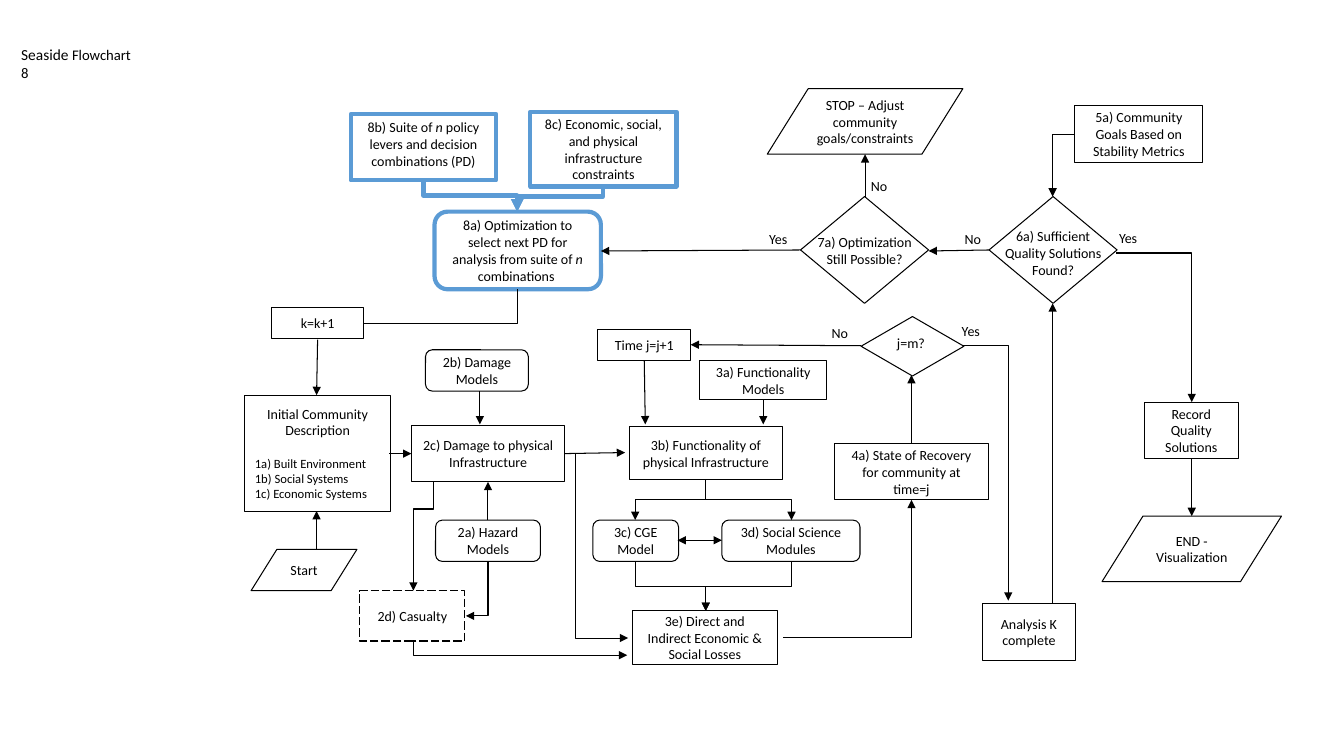
from dataclasses import dataclass
from pptx import Presentation
from pptx.dml.color import RGBColor
from pptx.enum.dml import MSO_LINE as Dash
from pptx.enum.shapes import MSO_CONNECTOR as Link, MSO_SHAPE as Shape
from pptx.enum.text import MSO_ANCHOR as Anchor, MSO_AUTO_SIZE as Fit, PP_ALIGN as Align
from pptx.oxml.ns import qn
from pptx.util import Inches, Pt
from lxml.etree import SubElement


@dataclass(frozen=True)
class Theme:
    font: str = "Calibri"
    ink: RGBColor = RGBColor(0, 0, 0)
    paper: RGBColor = RGBColor(255, 255, 255)
    accent: RGBColor = RGBColor(0x5B, 0x9B, 0xD5)
    title: float = 11
    subtitle: float = 10.5
    body: float = 10
    detail: float = 9
    thin: float = 0.75
    thick: float = 3


THEME = Theme()
RECT, ROUND = Shape.RECTANGLE, Shape.ROUNDED_RECTANGLE
SLANTED, DIAMOND = Shape.PARALLELOGRAM, Shape.DIAMOND

STEPS = [
    (SLANTED, 2.49, 5.45, 1.05, 0.41, "Start"),
    (RECT, 4.08, 4.22, 1.52, 0.56, "2c) Damage to physical Infrastructure"),
    (ROUND, 4.22, 3.47, 1.02, 0.41, "2b) Damage Models"),
    (ROUND, 4.32, 5.16, 1.04, 0.41, "2a) Hazard Models"),
    (ROUND, 5.88, 5.16, 0.85, 0.41, "3c) CGE Model"),
    (ROUND, 7.16, 5.16, 1.37, 0.41, "3d) Social Science Modules"),
    (RECT, 8.28, 4.4, 1.52, 0.56, "4a) State of Recovery for community at time=j"),
    (RECT, 5.93, 3.27, 0.92, 0.31, "Time j=j+1"),
    (RECT, 9.74, 5.99, 0.93, 0.56, "Analysis K complete"),
    (RECT, 11.35, 3.99, 0.93, 0.56, "Record Quality Solutions"),
    (SLANTED, 10.93, 5.12, 1.78, 0.65, "END - Visualization"),
    (RECT, 10.66, 1.05, 1.27, 0.56, "5a) Community Goals Based on Stability Metrics"),
    (SLANTED, 7.61, 0.88, 1.94, 0.65, "STOP – Adjust community goals/constraints"),
    (RECT, 2.69, 3.05, 0.92, 0.31, "k=k+1"),
    (RECT, 6.27, 6.06, 1.44, 0.53, "3e) Direct and Indirect Economic & Social Losses"),
    (RECT, 6.24, 4.23, 1.52, 0.53, "3b) Functionality of physical Infrastructure"),
    (RECT, 6.94, 3.58, 1.26, 0.38, "3a) Functionality Models"),
]
OPTIMIZATION = [
    (ROUND, 4.31, 2.1, 1.65, 0.77, Anchor.MIDDLE,
     "8a) Optimization to select next PD for analysis from suite of *n* combinations "),
    (RECT, 5.26, 1.11, 1.45, 0.74, Anchor.MIDDLE,
     "8c) Economic, social, and physical infrastructure constraints"),
    (RECT, 3.48, 1.13, 1.44, 0.66, Anchor.TOP,
     "8b) Suite of *n* policy levers and decision combinations (PD)"),
]
DECISIONS = [
    ((8.54, 3.14, 1.02, 0.59), (8.67, 3.27, 0.73, 0.27), "j=m?"),
    ((9.81, 1.95, 1.27, 1.06), (9.82, 2.21, 1.25, 0.61), "6a) Sufficient Quality Solutions Found?"),
    ((7.94, 1.95, 1.27, 1.06), (7.95, 2.27, 1.25, 0.44), "7a) Optimization Still Possible?"),
]
ANSWERS = {
    "No": (0.37, [(8.15, 3.17), (9.47, 2.24), (8.54, 1.71)]),
    "Yes": (0.39, [(9.44, 3.15), (11, 2.23), (7.53, 2.24)]),
}
ARROWS = [
    [(3.14, 5.45), (3.14, 5.07)],
    [(3.86, 4.5), (4.08, 4.5)],
    [(4.84, 5.16), (4.84, 4.78)],
    [(5.6, 4.5), (5.71, 4.5), (5.71, 6.33), (6.23, 6.33)],
    [(5.6, 4.5), (6.2, 4.49)],
    [(7, 4.76), (7, 4.96), (6.3, 4.96), (6.3, 5.16)],
    [(7, 4.76), (7, 4.96), (7.85, 4.96), (7.85, 5.16)],
    [(6.3, 5.57), (6.3, 5.82), (7, 5.82), (7, 6.06)],
    [(7.85, 5.57), (7.85, 5.82), (7, 5.82), (7, 6.06)],
    [(7.77, 6.33), (9.04, 6.33), (9.04, 4.96)],
    [(9.04, 4.4), (9.04, 3.72)],
    [(8.54, 3.43), (6.85, 3.42)],
    [(6.39, 3.58), (6.4, 4.21)],
    [(9.55, 3.43), (10, 3.43), (10, 5.96)],
    [(10.44, 5.99), (10.44, 3.01)],
    [(11.07, 2.51), (11.82, 2.51), (11.82, 3.99)],
    [(11.82, 4.55), (11.82, 5.12)],
    [(10.66, 1.33), (10.44, 1.33), (10.44, 1.95)],
    [(9.81, 2.48), (9.21, 2.49)],
    [(8.58, 1.95), (8.58, 1.53)],
    [(4.76, 3.88), (4.76, 4.21)],
    [(7.57, 3.96), (7.57, 4.21)],
    [(7.94, 2.48), (5.96, 2.49)],
    [(3.15, 3.37), (3.14, 3.92)],
    [(4.84, 5.57), (4.84, 6.11), (4.62, 6.11)],
    [(4.1, 6.36), (4.1, 6.5), (6.22, 6.5)],
    [(4.3, 4.78), (4.3, 5.05), (4.1, 5.05), (4.1, 5.86)],
]
INPUT_ARROWS = [
    [(4.2, 1.79), (4.2, 1.94), (5.13, 1.94), (5.13, 2.1)],
    [(5.98, 1.85), (5.98, 1.95), (5.13, 1.95), (5.13, 2.1)],
]


def apply(target, **values):
    for name, value in values.items():
        setattr(target, name, value)


def add_span(para, text, size, italic=False):
    span = para.add_run()
    span.text = text
    apply(span.font, name=THEME.font, size=Pt(size), italic=italic, bold=False)
    span.font.color.rgb = THEME.ink


def write(para, text, size=THEME.body, align=Align.CENTER):
    para.alignment = align
    for index, part in enumerate(text.split("*")):
        add_span(para, part, size, italic=index % 2 == 1)


def add_box(page, kind, place, text="", color=THEME.ink, width=THEME.thin, anchor=Anchor.MIDDLE):
    box = page.shapes.add_shape(kind, *map(Inches, place))
    box.shadow.inherit = False
    box.fill.solid()
    box.fill.fore_color.rgb = THEME.paper
    box.line.color.rgb = color
    box.line.width = Pt(width)
    if kind == SLANTED:
        box.adjustments[0] = 0.625
    apply(box.text_frame, word_wrap=True, vertical_anchor=anchor)
    if text:
        write(box.text_frame.paragraphs[0], text)
    return box


def add_label(page, place, text, wrap=False, align=Align.LEFT):
    label = page.shapes.add_textbox(*map(Inches, place))
    apply(label.text_frame, word_wrap=wrap, auto_size=Fit.SHAPE_TO_FIT_TEXT)
    write(label.text_frame.paragraphs[0], text, align=align)


def add_route(page, points, color=THEME.ink, width=THEME.thin, ends=("tailEnd",)):
    (x1, y1), (x2, y2) = points[0], points[-1]
    bent = len(points) > 2
    turned = bent and points[1][0] == x1
    start, end = (x1, y1), (x2, y2)
    if turned:
        middle_x, middle_y = (x1 + x2) / 2, (y1 + y2) / 2
        reach, drop = (y2 - y1) / 2, abs(x2 - x1) / 2
        if x2 > x1:
            reach = -reach
        start, end = (middle_x - reach, middle_y - drop), (middle_x + reach, middle_y + drop)
    route = page.shapes.add_connector(Link.ELBOW if bent else Link.STRAIGHT, *map(Inches, start + end))
    route.line.color.rgb = color
    route.line.width = Pt(width)
    shape = route._element.spPr
    if turned:
        shape.xfrm.set("rot", str((270 if x2 > x1 else 90) * 60000))
    outline = shape.find(qn("a:ln"))
    for name in ends:
        SubElement(outline, qn(f"a:{name}"), type="triangle")
    SubElement(shape, qn("a:effectLst"))
    if bent:
        geometry = shape.find(qn("a:prstGeom"))
        geometry.set("prst", f"bentConnector{len(points) - 1}")
        if len(points) == 4:
            axis = 1 if turned else 0
            share = (points[1][axis] - points[0][axis]) / (points[-1][axis] - points[0][axis])
            SubElement(geometry.find(qn("a:avLst")), qn("a:gd"), name="adj1", fmla=f"val {round(share * 100000)}")


def add_title(page):
    title = page.shapes.title
    apply(title, left=Inches(0.11), top=Inches(0.4), width=Inches(1.3), height=Inches(0.46))
    frame = title.text_frame
    apply(frame, word_wrap=False, auto_size=Fit.NONE, vertical_anchor=Anchor.TOP)
    heading, number = frame.paragraphs[0], frame.add_paragraph()
    write(heading, "Seaside", THEME.title, Align.LEFT)
    add_span(heading, " Flowchart", THEME.subtitle)
    write(number, "8", THEME.subtitle, Align.LEFT)


def add_community(page):
    community = add_box(page, RECT, (2.43, 3.92, 1.44, 1.15), "Initial Community Description")
    for index, text in enumerate(["1a) Built Environment", "1b) Social Systems", "1c) Economic Systems"]):
        para = community.text_frame.add_paragraph()
        write(para, text, THEME.detail, Align.LEFT)
        para.space_before = Pt(0 if index else 12)


def main():
    deck = Presentation()
    apply(deck, slide_width=Inches(13.33), slide_height=Inches(7.5))
    page = deck.slides.add_slide(deck.slide_layouts[5])
    add_title(page)
    add_community(page)
    for kind, *place, text in STEPS:
        add_box(page, kind, place, text)
    casualty = add_box(page, RECT, (3.57, 5.86, 1.04, 0.5), "2d) Casualty")
    casualty.line.dash_style = Dash.LONG_DASH
    for kind, *place, anchor, text in OPTIMIZATION:
        add_box(page, kind, place, text, THEME.accent, THEME.thick, anchor)
    for diamond, place, text in DECISIONS:
        add_box(page, DIAMOND, diamond)
        add_label(page, place, text, wrap=True, align=Align.CENTER)
    for text, (width, corners) in ANSWERS.items():
        for left, top in corners:
            add_label(page, (left, top, width, 0.27), text)
    for points in ARROWS:
        add_route(page, points)
    for points in INPUT_ARROWS:
        add_route(page, points, THEME.accent, THEME.thick)
    add_route(page, [(6.72, 5.36), (7.16, 5.36)], ends=("headEnd", "tailEnd"))
    add_route(page, [(5.13, 2.87), (5.13, 3.21), (3.61, 3.21)], ends=())
    deck.save("out.pptx")


main()
